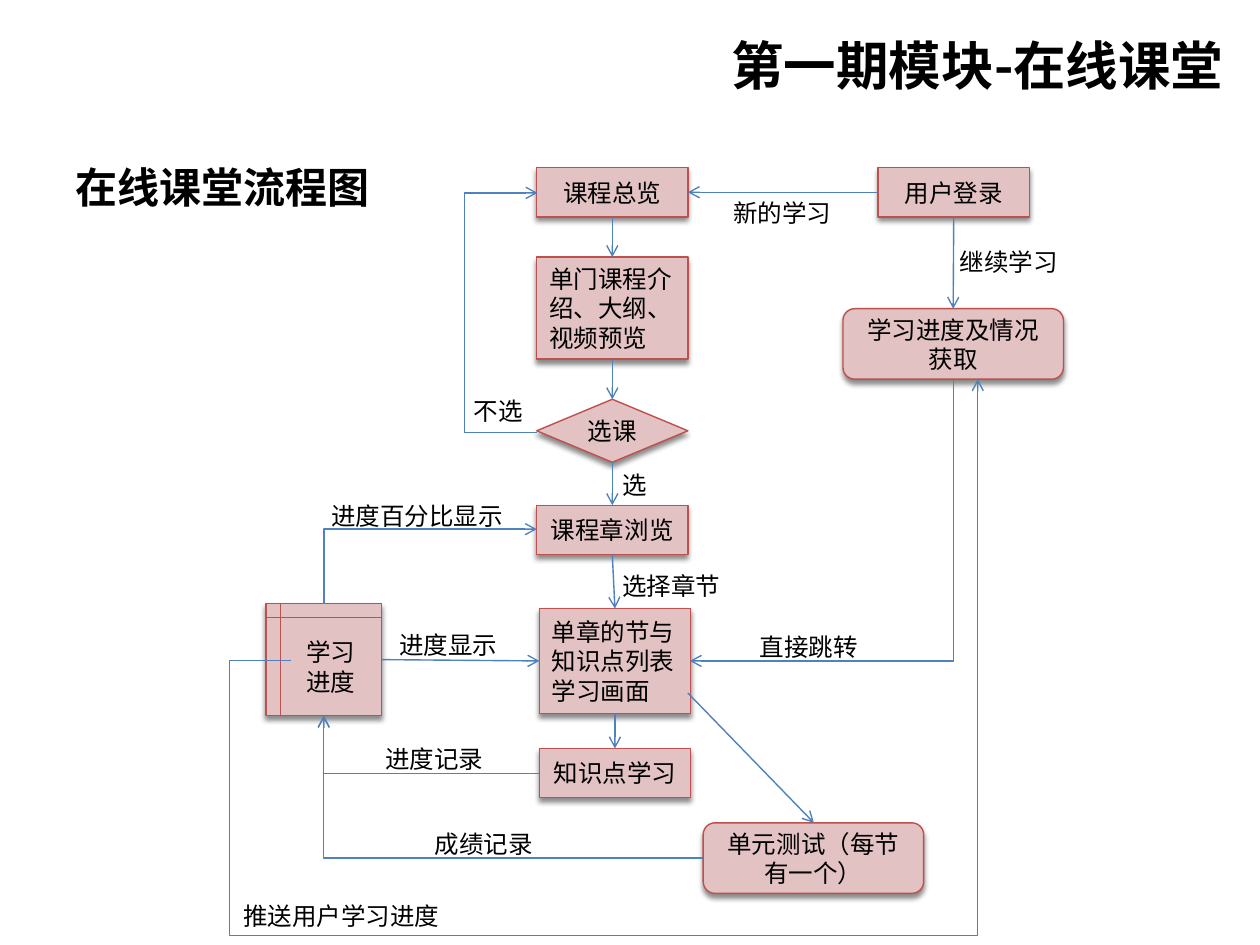
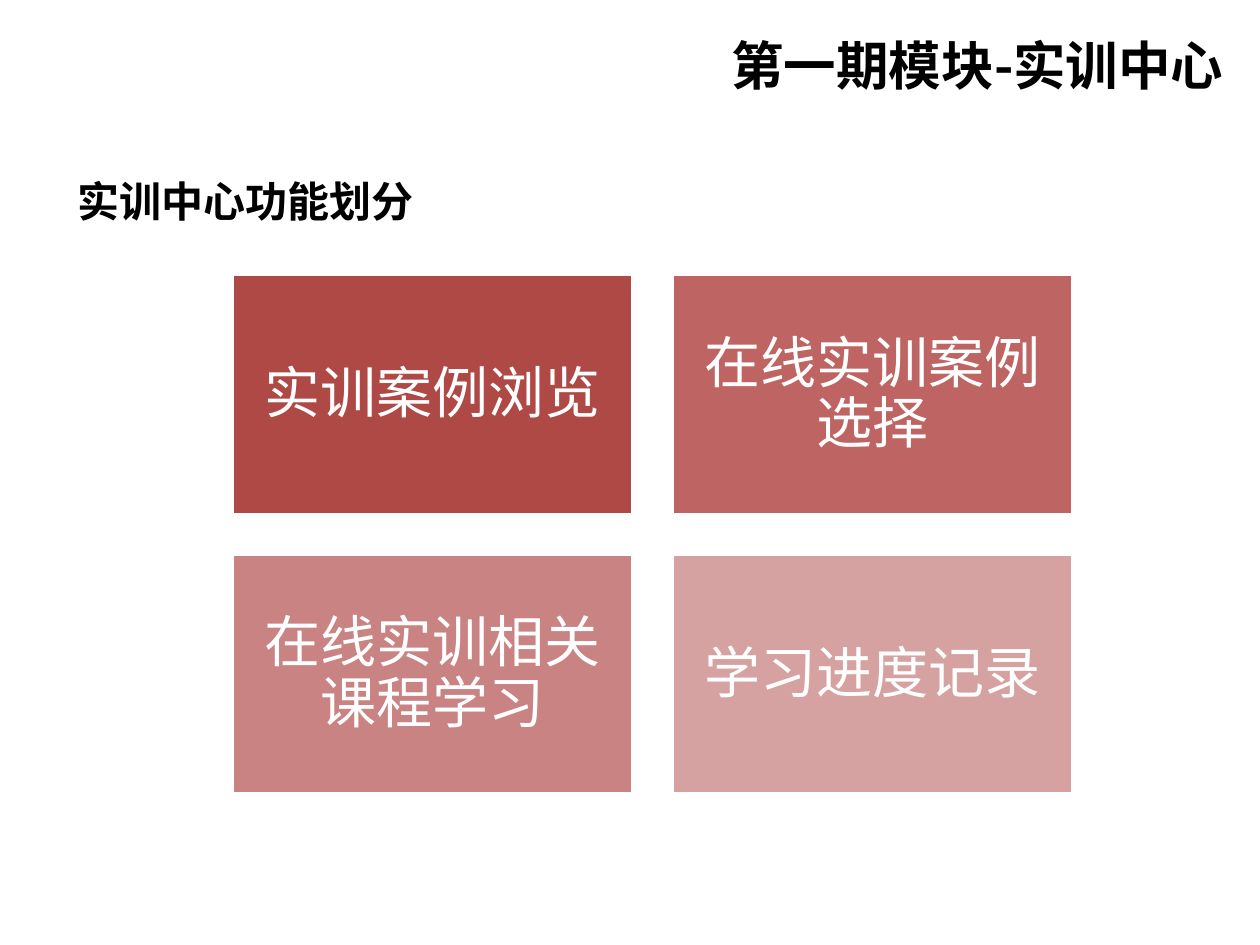
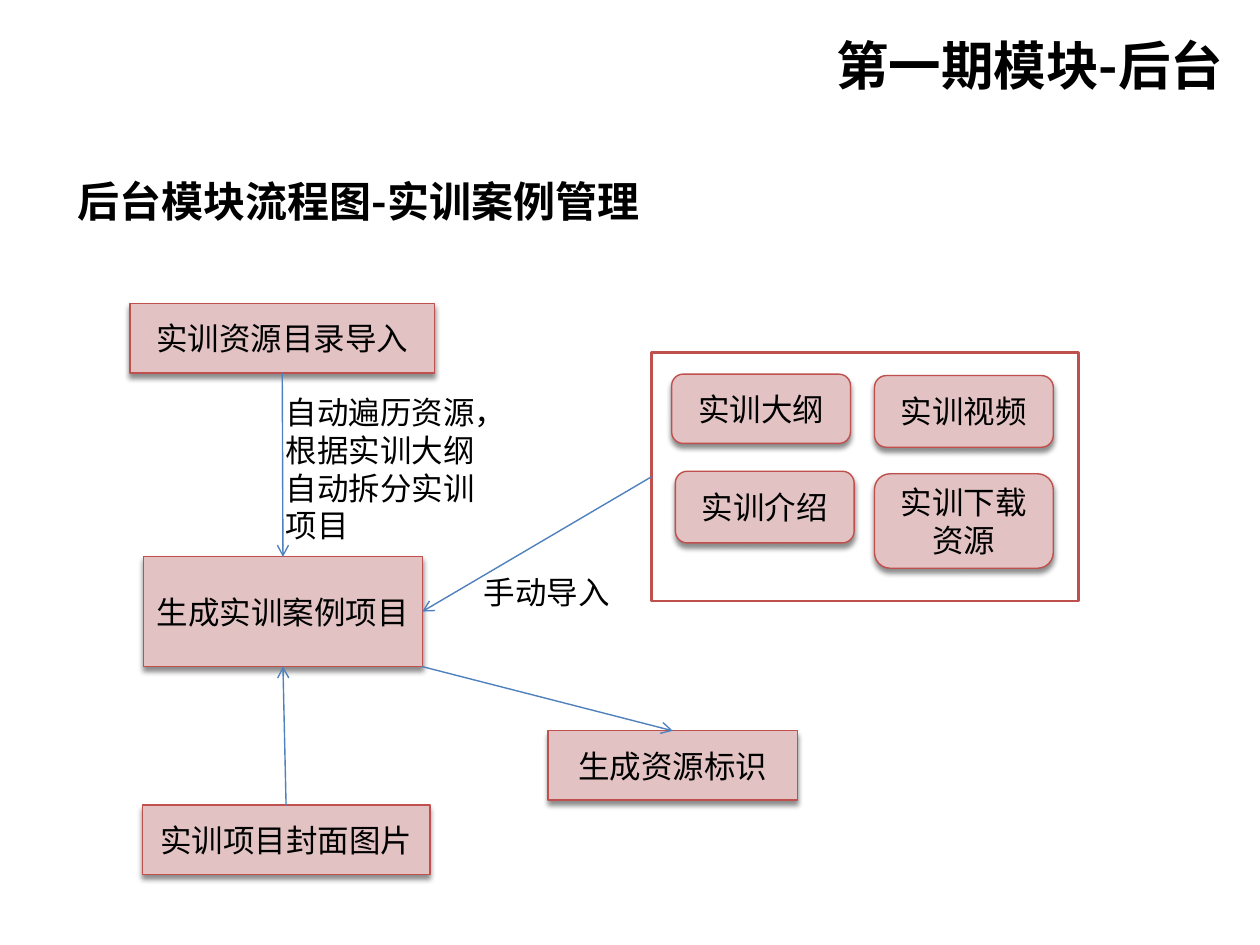
from lxml.etree import SubElement
from pptx import Presentation
from pptx.dml.color import RGBColor
from pptx.enum.shapes import MSO_CONNECTOR, MSO_SHAPE
from pptx.enum.text import MSO_ANCHOR, MSO_AUTO_SIZE, PP_ALIGN
from pptx.oxml.ns import qn
from pptx.util import Pt

FONT = "Noto Sans CJK SC"
BLACK, WHITE = "000000", "FFFFFF"
NODE_FILL, NODE_LINE, ARROW = "E2C2C2", "C0504D", "4F81BD"
TOP, LEFT, BOTTOM, RIGHT = range(4)  # connection sites of a node
PROCESS = MSO_SHAPE.FLOWCHART_PROCESS
ROUNDED = MSO_SHAPE.FLOWCHART_ALTERNATE_PROCESS


def color(value):
    return RGBColor.from_string(value)


class SlideBuilder:
    """Holds the shared style and the slide being filled."""

    def __init__(self):
        self.deck = Presentation()
        self.deck.slide_width, self.deck.slide_height = Pt(720), Pt(540)
        self.slide = None
        self.size = 14

    def new_slide(self, title, size):
        self.slide = self.deck.slides.add_slide(self.deck.slide_layouts[5])
        self.size = size
        box = self.slide.shapes.title
        box.left, box.top, box.width, box.height = Pt(54), Pt(15), Pt(652.3), Pt(55)
        self.set_text(box, title, 30, align=PP_ALIGN.RIGHT, anchor=MSO_ANCHOR.TOP, bold=True)

    def set_text(self, box, text, size, ink=BLACK, align=PP_ALIGN.LEFT,
                 anchor=MSO_ANCHOR.MIDDLE, bold=False, leading=1.2):
        frame = box.text_frame
        frame.word_wrap, frame.auto_size = True, MSO_AUTO_SIZE.NONE
        frame.vertical_anchor = anchor
        frame.text = text
        for para in frame.paragraphs:
            para.alignment, para.line_spacing = align, Pt(round(size * leading, 1))
            for span in para.runs:
                font = span.font
                font.name, font.size, font.bold = FONT, Pt(size), bold
                font.color.rgb = color(ink)
                SubElement(span._r.get_or_add_rPr(), qn("a:ea"), typeface=FONT)

    def label(self, text, left, top, width, height=24.5):
        box = self.slide.shapes.add_textbox(Pt(left), Pt(top), Pt(width), Pt(height))
        self.set_text(box, text, self.size, anchor=MSO_ANCHOR.TOP)

    def bullet(self, text, left, top, width, height=49):
        box = self.slide.shapes.add_textbox(Pt(left), Pt(top), Pt(width), Pt(height))
        props = box.text_frame.paragraphs[0]._p.get_or_add_pPr()
        props.set("marL", str(Pt(27)))
        props.set("indent", str(-Pt(27)))
        SubElement(props, qn("a:buFont"), typeface="Arial")
        SubElement(props, qn("a:buChar"), char="•")
        self.set_text(box, text, 24, anchor=MSO_ANCHOR.TOP, bold=True)

    def shape(self, kind, left, top, width, height, fill, line, weight):
        shape = self.slide.shapes.add_shape(kind, Pt(left), Pt(top), Pt(width), Pt(height))
        shape.shadow.inherit = False
        shape.fill.solid()
        shape.fill.fore_color.rgb = color(fill)
        shape.line.color.rgb, shape.line.width = color(line), Pt(weight)
        return shape

    def node(self, text, left, top, width=86.4, height=28.1, kind=PROCESS,
             align=PP_ALIGN.CENTER):
        node = self.shape(kind, left, top, width, height, NODE_FILL, NODE_LINE, 0.79)
        effects = node._element.spPr.find(qn("a:effectLst"))
        shadow = SubElement(effects, qn("a:outerShdw"), blurRad=str(Pt(3)),
                            dist=str(Pt(2.4)), dir="5400000", rotWithShape="0")
        tint = SubElement(shadow, qn("a:srgbClr"), val=BLACK)
        SubElement(tint, qn("a:alpha"), val="45000")
        self.set_text(node, text, self.size, align=align)
        return node

    def tile(self, text, left, top, width, height, fill):
        tile = self.shape(MSO_SHAPE.RECTANGLE, left, top, width, height, fill, WHITE, 1.5)
        self.set_text(tile, text, 32, ink=WHITE, align=PP_ALIGN.CENTER, leading=1.08)
        frame = tile.text_frame
        frame.margin_left = frame.margin_right = Pt(9.6)
        frame.margin_top = frame.margin_bottom = Pt(9.6)

    def arrow(self, x1=0, y1=0, x2=0, y2=0, kind=MSO_CONNECTOR.STRAIGHT):
        arrow = self.slide.shapes.add_connector(kind, Pt(x1), Pt(y1), Pt(x2), Pt(y2))
        arrow.line.color.rgb, arrow.line.width = color(ARROW), Pt(0.79)
        props = arrow._element.spPr
        SubElement(props.find(qn("a:ln")), qn("a:tailEnd"), type="arrow")
        SubElement(props, qn("a:effectLst"))
        return arrow

    def link(self, start, start_side, end, end_side):
        arrow = self.arrow()
        arrow.begin_connect(start, start_side)
        arrow.end_connect(end, end_side)

    def bent(self, left, top, width, height, turn, flips="", bends=2, adjust=()):
        arrow = self.arrow(left, top, left + width, top + height, MSO_CONNECTOR.ELBOW)
        props = arrow._element.spPr
        frame = props.find(qn("a:xfrm"))
        frame.set("rot", str(turn * 60000))
        for axis in flips:
            frame.set("flip" + axis, "1")
        outline = props.find(qn("a:prstGeom"))
        outline.set("prst", f"bentConnector{bends}")
        guides = outline.find(qn("a:avLst"))
        for number, share in enumerate(adjust, 1):
            SubElement(guides, qn("a:gd"), name=f"adj{number}",
                       fmla=f"val {round(share * 100000)}")


def online_class(builder):
    builder.new_slide("第一期模块-在线课堂", 14)
    builder.bullet("在线课堂流程图", 36, 88.6, 216.7, 45.4)

    # Course column
    column, lower_column = 306.7, 308.2
    overview = builder.node("课程总览", column, 95.8)
    choice = builder.node("选课", column, 228.2, height=36, kind=MSO_SHAPE.FLOWCHART_DECISION)
    intro = builder.node("单门课程介绍、大纲、视频预览", column, 146.9, height=58.3,
                         align=PP_ALIGN.LEFT)
    chapters = builder.node("课程章浏览", column, 288.7)
    sections = builder.node("单章的节与知识点列表学习画面", lower_column, 347.8,
                            height=59.8, align=PP_ALIGN.LEFT)
    study = builder.node("知识点学习", lower_column, 427.7)

    # Login, progress and test
    login = builder.node("用户登录", 501.8, 95.8)
    status = builder.node("学习进度及情况获取", 481.7, 176.4, 126, 40.3, ROUNDED)
    progress = builder.node("学习\n进度", 151.9, 344.9, 66.2, 64.1,
                            MSO_SHAPE.FLOWCHART_INTERNAL_STORAGE)
    builder.node("单元测试（每节有一个）", 401.8, 470.2, 126, 40.3, ROUNDED)

    # Straight arrows
    steps = [overview, intro, choice, chapters, sections, study]
    for upper, lower in zip(steps, steps[1:]):
        builder.link(upper, BOTTOM, lower, TOP)
    builder.link(login, LEFT, overview, RIGHT)
    builder.link(login, BOTTOM, status, TOP)
    builder.link(progress, RIGHT, sections, LEFT)
    builder.arrow(393.1, 396, 465.1, 470.2)

    # Bent arrows
    builder.bent(185, 409, 123, 33.1, 180)
    builder.bent(185, 409, 216.7, 81.4, 180)
    builder.bent(224.6, 262.8, 42.5, 121.7, 90, "HV")
    builder.bent(388.8, 221.8, 161.3, 150.5, 90)
    builder.bent(306.7, 110.2, 0.5, 136.8, 180, "H", 3, [-80.6])
    builder.bent(166.3, 216.7, 392.4, 160.6, 180, "H", 4, [-0.09, -0.98])

    # Arrow labels
    for text, left, top, width in [
        ("不选", 263.5, 222.5, 42.5),
        ("选", 348.5, 265, 28.8),
        ("选择章节", 348.5, 322.6, 78.5),
        ("进度记录", 213.1, 421.9, 78.5),
        ("进度显示", 221, 356.4, 78.5),
        ("进度百分比显示", 182.2, 283, 118.1),
        ("推送用户学习进度", 131.8, 511.2, 173.5),
        ("直接跳转", 427, 357.8, 71),
        ("新的学习", 411.8, 109.4, 71),
        ("继续学习", 541.4, 137.5, 78.5),
        ("成绩记录", 241.2, 470.2, 78.5),
    ]:
        builder.label(text, left, top, width)


def training_center(builder):
    builder.new_slide("第一期模块-实训中心", 32)
    builder.bullet("实训中心功能划分", 37.4, 96.5, 385)

    # Two by two tiles
    tiles = [("实训案例浏览", "AE4946"), ("在线实训案例选择", "BE6462"),
             ("在线实训相关课程学习", "C98382"), ("学习进度记录", "D6A2A1")]
    for index, (text, fill) in enumerate(tiles):
        row, column = divmod(index, 2)
        builder.tile(text, 133.2 + column * 251.3, 157 + row * 159.8, 228.2, 136.8, fill)


def back_office(builder):
    builder.new_slide("第一期模块-后台", 18)
    builder.bullet("后台模块流程图-实训案例管理", 37.4, 96.5, 386.6)

    # Project steps
    project = builder.node("生成实训案例项目", 82.1, 318.2, 159.2, 62.6)
    folder = builder.node("实训资源目录导入", 74.2, 173.5, 174.2, 39.6)
    cover = builder.node("实训项目封面图片", 81.4, 460.1, 164.2, 39.6)
    builder.node("生成资源标识", 313.2, 417.6, 142.6, 39.6)

    # Framed resources
    resources = builder.shape(MSO_SHAPE.RECTANGLE, 372.2, 201.6, 244.1, 141.8,
                              WHITE, NODE_LINE, 1.5)
    for text, left, top, height in [
        ("实训大纲", 383.8, 213.8, 39.6),
        ("实训介绍", 385.9, 269.3, 41),
        ("实训视频", 499.7, 214.6, 41),
        ("实训下载资源", 499.7, 270.7, 54),
    ]:
        builder.node(text, left, top, 102.2, height, ROUNDED)

    # Arrows and their labels
    builder.link(folder, BOTTOM, project, TOP)
    builder.link(cover, TOP, project, BOTTOM)
    builder.link(resources, LEFT, project, RIGHT)
    builder.arrow(241.2, 380.9, 384.5, 417.6)
    builder.label("自动遍历资源，根据实训大纲自动拆分实训项目", 156.2, 221, 130.3, 94.3)
    builder.label("手动导入", 269.3, 324, 87.2, 28.8)


def main():
    builder = SlideBuilder()
    online_class(builder)
    training_center(builder)
    back_office(builder)
    builder.deck.save("out.pptx")


if __name__ == "__main__":
    main()
